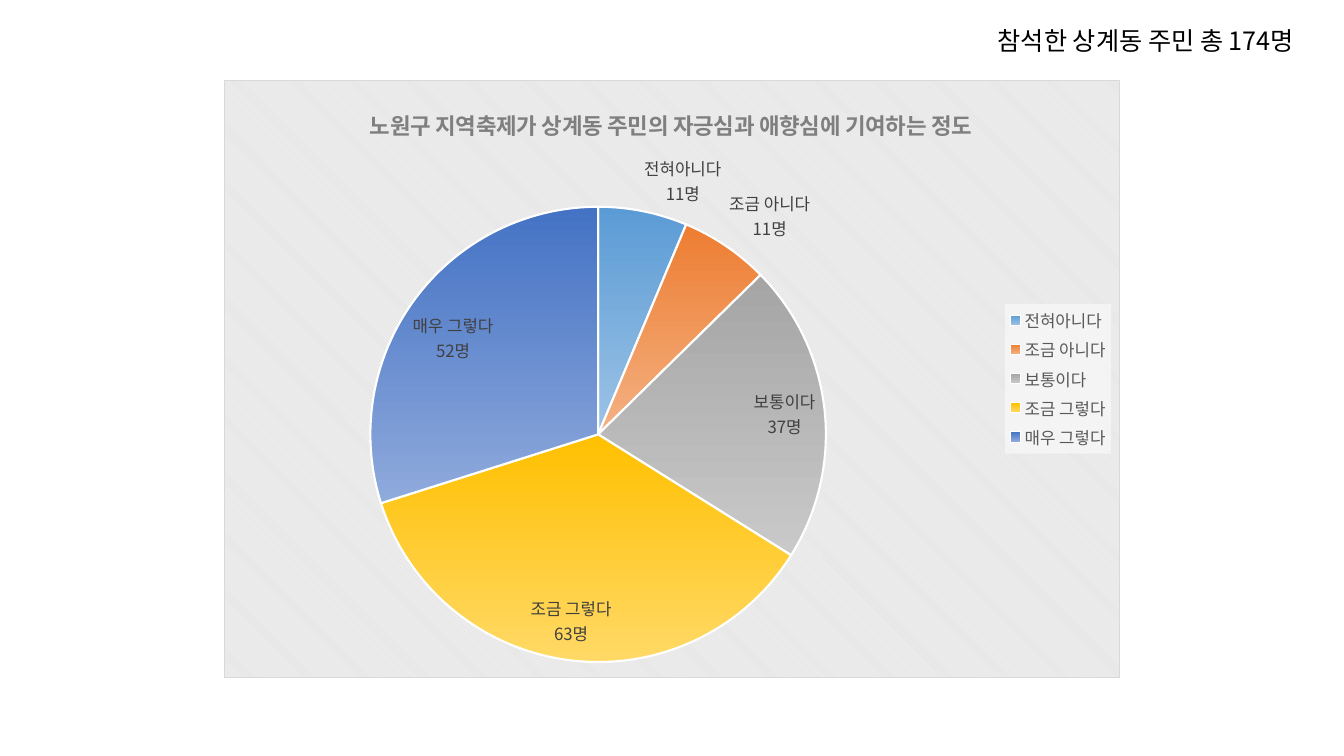
import pptx
import pptx.chart.data
import pptx.dml.color
import pptx.enum.chart
import pptx.enum.text
import pptx.oxml
import pptx.oxml.ns
import pptx.util

Pt = pptx.util.Pt
RGBColor = pptx.dml.color.RGBColor
qn = pptx.oxml.ns.qn
FONT = "Noto Sans CJK KR"
BLACK = RGBColor(0x00, 0x00, 0x00)
WHITE = RGBColor(0xFF, 0xFF, 0xFF)
TITLE_GRAY = RGBColor(0x7F, 0x7F, 0x7F)
LEGEND_GRAY = RGBColor(0x59, 0x59, 0x59)
LABEL_GRAY = RGBColor(0x40, 0x40, 0x40)
ANSWERS = [
    ("전혀아니다", 11, RGBColor(0x5B, 0x9B, 0xD5), RGBColor(0x9D, 0xC3, 0xE6)),
    ("조금 아니다", 11, RGBColor(0xED, 0x7D, 0x31), RGBColor(0xF4, 0xB1, 0x83)),
    ("보통이다", 37, RGBColor(0xA5, 0xA5, 0xA5), RGBColor(0xC9, 0xC9, 0xC9)),
    ("조금 그렇다", 63, RGBColor(0xFF, 0xC0, 0x00), RGBColor(0xFF, 0xD9, 0x66)),
    ("매우 그렇다", 52, RGBColor(0x44, 0x72, 0xC4), RGBColor(0x8F, 0xAA, 0xDC)),
]
NAMESPACES = pptx.oxml.ns.nsdecls("c", "a")


def style_font(font, size, color, bold=False):
    font.name = FONT
    font.size = Pt(size)
    font.bold = bold
    font.color.rgb = color


def manual_layout(**places):
    modes = "".join(f'<c:{side}Mode val="edge"/>' for side in "xy")
    values = "".join(f'<c:{side} val="{place}"/>' for side, place in places.items())
    target = '<c:layoutTarget val="inner"/>' if "w" in places else ""
    return pptx.oxml.parse_xml(
        f"<c:layout {NAMESPACES}><c:manualLayout>{target}{modes}{values}"
        "</c:manualLayout></c:layout>"
    )


deck = pptx.Presentation()
deck.slide_width = Pt(960)
deck.slide_height = Pt(540)
page = deck.slides.add_slide(deck.slide_layouts[6])

survey = pptx.chart.data.CategoryChartData()
survey.categories = [answer[0] for answer in ANSWERS]
survey.add_series("Series 1", [answer[1] for answer in ANSWERS])
chart = page.shapes.add_chart(
    pptx.enum.chart.XL_CHART_TYPE.PIE, Pt(160), Pt(57), Pt(640), Pt(427), survey
).chart
style_font(chart.font, 10, BLACK)

chart.has_title = True
chart.chart_title.include_in_layout = False
title_para = chart.chart_title.text_frame.paragraphs[0]
title_para.text = "노원구 지역축제가 상계동 주민의 자긍심과 애향심에 기여하는 정도"
style_font(title_para.font, 16, TITLE_GRAY, True)

chart.has_legend = True
chart.legend.position = pptx.enum.chart.XL_LEGEND_POSITION.RIGHT
chart.legend.include_in_layout = False
style_font(chart.legend.font, 12, LEGEND_GRAY)

plot = chart.plots[0]
plot.vary_by_categories = True
series = plot.series[0]
for index, (answer, count, top_color, bottom_color) in enumerate(ANSWERS):
    slice_format = series.points[index].format
    slice_format.fill.gradient()
    slice_format.fill.gradient_angle = 270
    stops = slice_format.fill.gradient_stops
    for stop, position, color in zip(stops, (0, 1), (top_color, bottom_color)):
        stop.position = position
        stop.color.rgb = color
    slice_format.line.color.rgb = WHITE
    slice_format.line.width = Pt(1.5)

labels = series.data_labels
labels.show_value = True
labels.show_category_name = True
labels.show_percentage = False
labels.number_format = '0"명"'
labels.number_format_is_linked = False
labels.position = pptx.enum.chart.XL_LABEL_POSITION.BEST_FIT
style_font(labels.font, 12, LABEL_GRAY)

chart_space = chart.element
separator = pptx.oxml.parse_xml(f"<c:separator {NAMESPACES}>\n</c:separator>")
chart_space.find(".//" + qn("c:ser")).find(
    qn("c:dLbls") + "/" + qn("c:showBubbleSize")
).addnext(separator)

plot_area = chart_space.find(".//" + qn("c:plotArea"))
title = chart_space.find(".//" + qn("c:title"))
for holder in (plot_area, title):
    for layout in holder.findall(qn("c:layout")):
        holder.remove(layout)
plot_area.insert(0, manual_layout(x=0.163, y=0.212, w=0.509, h=0.763))
title.find(qn("c:tx")).addnext(manual_layout(x=0.158, y=0.038))

chart_space.find(qn("c:txPr")).addprevious(pptx.oxml.parse_xml(
    f'<c:spPr {NAMESPACES}><a:pattFill prst="dkDnDiag">'
    '<a:fgClr><a:srgbClr val="FFFFFF"/></a:fgClr>'
    '<a:bgClr><a:srgbClr val="E6E6E6"/></a:bgClr></a:pattFill>'
    '<a:ln w="9525"><a:solidFill><a:srgbClr val="D9D9D9"/></a:solidFill></a:ln></c:spPr>'
))
legend = chart_space.find(".//" + qn("c:legend"))
legend.find(qn("c:txPr")).addprevious(pptx.oxml.parse_xml(
    f'<c:spPr {NAMESPACES}><a:solidFill><a:srgbClr val="FFFFFF">'
    '<a:alpha val="50000"/></a:srgbClr></a:solidFill></c:spPr>'
))

box = page.shapes.add_textbox(Pt(705.6), Pt(14.4), Pt(252), Pt(28.8))
box.text_frame.word_wrap = False
box.text_frame.auto_size = pptx.enum.text.MSO_AUTO_SIZE.SHAPE_TO_FIT_TEXT
para = box.text_frame.paragraphs[0]
para.text = "참석한 상계동 주민 총 174명"
style_font(para.font, 18, BLACK)

for root in (chart_space, box.element):
    for latin in list(root.iter(qn("a:latin"))):
        latin.addnext(pptx.oxml.parse_xml(f'<a:ea {NAMESPACES} typeface="{FONT}"/>'))

deck.save("out.pptx")
